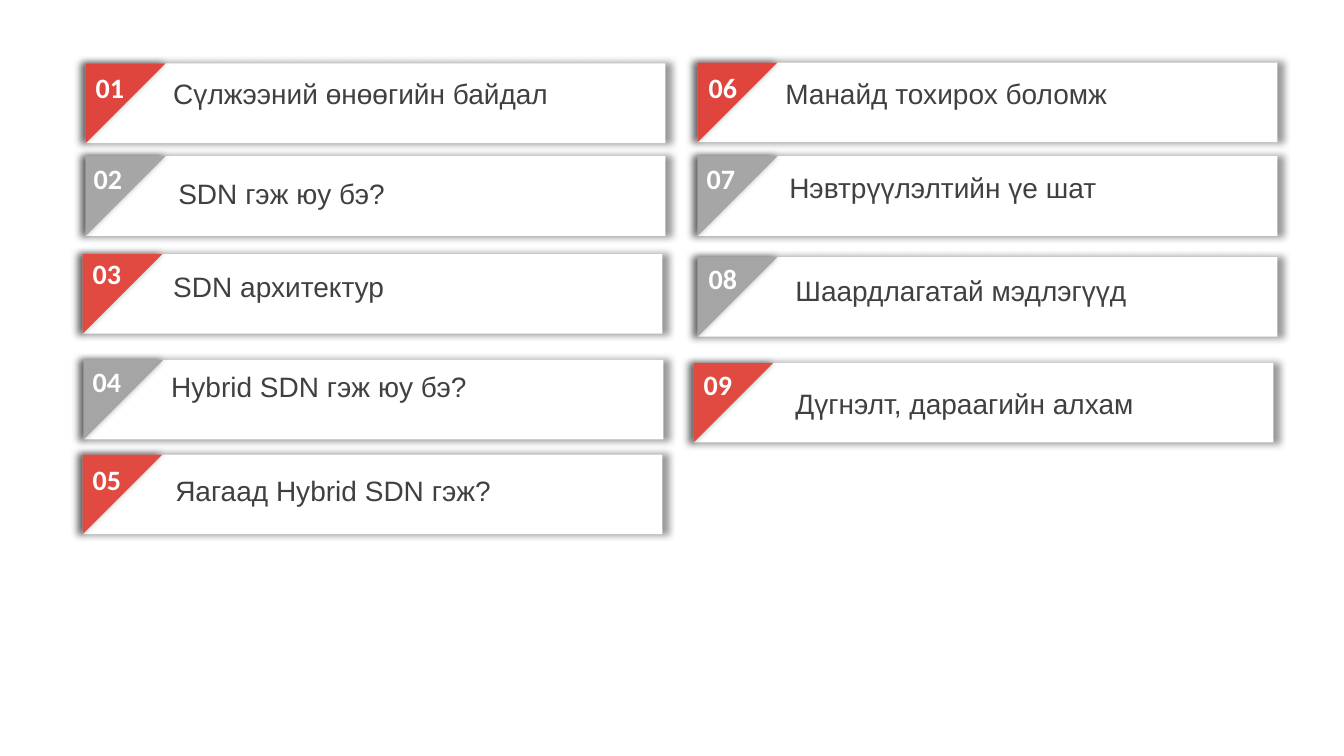
from lxml import etree
from pptx import Presentation
from pptx.dml.color import RGBColor
from pptx.enum.shapes import MSO_SHAPE
from pptx.enum.text import MSO_AUTO_SIZE
from pptx.oxml import parse_xml
from pptx.oxml.ns import nsdecls, qn
from pptx.util import Inches, Pt

COLORS = {
    "card": "FFFFFF",
    "number": "FFFFFF",
    "label": "404040",
    "red": "DF453C",
    "light_red": "E14A41",
    "gray": "A6A6A6",
    "mid_gray": "A5A5A5",
    "shadow": "000000",
}
CARD_W, CARD_H = 5.75, 0.79
NUMBER_W, LABEL_W, TEXT_H = 0.58, 4.8, 0.44

# card left and top, corner colour, number offset, label offset, label
AGENDA = [
    (0.85, 0.63, "red", (0, 0.02), (0.77, 0.08), "Сүлжээний өнөөгийн байдал"),
    (0.85, 1.55, "gray", (-0.02, 0), (0.82, 0.15), "SDN гэж юу бэ?"),
    (0.82, 2.52, "light_red", (0, -0.02), (0.8, 0.1), "SDN архитектур"),
    (0.83, 3.57, "mid_gray", (-0.01, 0), (0.77, 0.05), "Hybrid SDN гэж юу бэ?"),
    (0.82, 4.51, "light_red", (0, 0.03), (0.82, 0.14), "Яагаад Hybrid SDN гэж?"),
    (6.92, 0.62, "red", (0.01, 0.03), (0.77, 0.09), "Манайд тохирох боломж"),
    (6.92, 1.55, "gray", (-0.01, 0), (0.81, 0.09), "Нэвтрүүлэлтийн үе шат"),
    (6.92, 2.55, "mid_gray", (0.01, 0), (0.87, 0.11), "Шаардлагатай мэдлэгүүд"),
    (6.88, 3.6, "light_red", (0, 0), (0.91, 0.19), "Дүгнэлт, дараагийн алхам"),
]


def add_glow_shadow(sp):
    """Give the shape a soft, centred shadow slightly larger than itself."""
    sp.shadow.inherit = False
    effects = sp._element.spPr.find(qn("a:effectLst"))
    shadow = parse_xml(
        f'<a:outerShdw {nsdecls("a")} blurRad="{Pt(5)}" sx="102000" sy="102000" '
        'algn="ctr" rotWithShape="0"/>'
    )
    color = etree.SubElement(shadow, qn("a:srgbClr"), val=COLORS["shadow"])
    etree.SubElement(color, qn("a:alpha"), val="40000")
    effects.append(shadow)


def add_panel(group, kind, x, y, w, h, color):
    sp = group.shapes.add_shape(kind, Inches(x), Inches(y), Inches(w), Inches(h))
    sp.fill.solid()
    sp.fill.fore_color.rgb = RGBColor.from_string(COLORS[color])
    sp.line.fill.background()
    add_glow_shadow(sp)
    return sp


def add_text(s, x, y, w, text, font, color, bold=False):
    tf = s.shapes.add_textbox(Inches(x), Inches(y), Inches(w), Inches(TEXT_H)).text_frame
    tf.word_wrap = True
    tf.auto_size = MSO_AUTO_SIZE.SHAPE_TO_FIT_TEXT
    tf.text = text
    r = tf.paragraphs[0].runs[0]
    r.font.name = font
    r.font.size = Pt(20)
    r.font.bold = bold
    r.font.color.rgb = RGBColor.from_string(COLORS[color])


def add_agenda_item(s, number, x, y, corner_color, number_offset, label_offset, label):
    card = s.shapes.add_group_shape()
    add_panel(card, MSO_SHAPE.RECTANGLE, x, y, CARD_W, CARD_H, "card")
    corner = add_panel(card, MSO_SHAPE.RIGHT_TRIANGLE, x, y, CARD_H, CARD_H, corner_color)
    corner.rotation = 90
    dx, dy = number_offset
    add_text(s, x + dx, y + dy, NUMBER_W, f"{number:02}", "Calibri", "number", bold=True)
    dx, dy = label_offset
    add_text(s, x + dx, y + dy, LABEL_W, label, "Arial", "label")


def main():
    prs = Presentation()
    prs.slide_width, prs.slide_height = Inches(13.33), Inches(7.5)
    s = prs.slides.add_slide(prs.slide_layouts[6])
    for number, item in enumerate(AGENDA, start=1):
        add_agenda_item(s, number, *item)
    prs.save("out.pptx")


if __name__ == "__main__":
    main()
